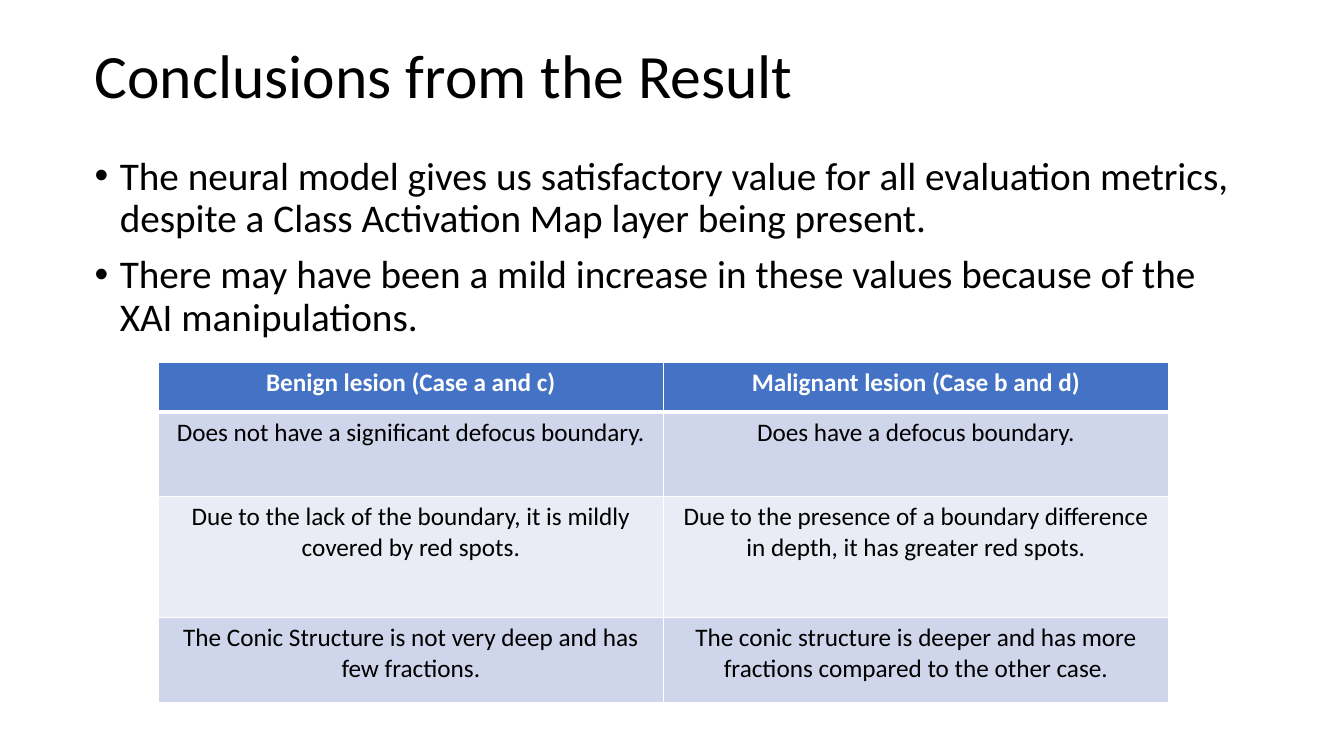
from lxml import etree
from pptx import Presentation
from pptx import util as u
from pptx.dml import color
from pptx.enum import text
from pptx.oxml import ns

FONT = "Calibri"
BLACK, WHITE = "000000", "FFFFFF"
HEADER_FILL = "4472C4"
BAND_FILLS = ["CFD5EA", "E9EBF5"]

TITLE = "Conclusions from the Result"
BULLETS = [
    "The neural model gives us satisfactory value for all evaluation metrics, "
    "despite a Class Activation Map layer being present.",
    "There may have been a mild increase in these values because of the "
    "XAI manipulations.",
]
LESION_ROWS = [
    ("Benign lesion (Case a and c)", "Malignant lesion (Case b and d)"),
    ("Does not have a significant defocus boundary.",
     "Does have a defocus boundary."),
    ("Due to the lack of the boundary, it is mildly covered by red spots.",
     "Due to the presence of a boundary difference in depth, "
     "it has greater red spots."),
    ("The Conic Structure is not very deep and has few fractions.",
     "The conic structure is deeper and has more fractions "
     "compared to the other case."),
]
ROW_HEIGHTS = [0.49, 0.84, 1.2, 0.84]


def rgb(value):
    return color.RGBColor.from_string(value)


def add_run(paragraph, words, size, hue=BLACK, bold=False):
    run = paragraph.add_run()
    run.text = words
    run.font.name = FONT
    run.font.size = u.Pt(size)
    run.font.bold = bold
    run.font.color.rgb = rgb(hue)


def add_text_frame(slide, box, anchor):
    frame = slide.shapes.add_textbox(*map(u.Inches, box)).text_frame
    frame.word_wrap = True
    frame.vertical_anchor = anchor
    return frame


def add_title(slide, box):
    frame = add_text_frame(slide, box, text.MSO_ANCHOR.MIDDLE)
    paragraph = frame.paragraphs[0]
    paragraph.line_spacing = 0.9
    add_run(paragraph, TITLE, 44)


def set_bullet(paragraph, indent):
    properties = paragraph._p.get_or_add_pPr()
    properties.set("marL", str(u.Inches(indent)))
    properties.set("indent", str(-u.Inches(indent)))
    bullet_font = etree.SubElement(properties, ns.qn("a:buFont"))
    bullet_font.set("typeface", "Arial")
    bullet = etree.SubElement(properties, ns.qn("a:buChar"))
    bullet.set("char", "•")


def add_bullets(slide, box):
    frame = add_text_frame(slide, box, text.MSO_ANCHOR.TOP)
    for index, words in enumerate(BULLETS):
        paragraph = frame.add_paragraph() if index else frame.paragraphs[0]
        set_bullet(paragraph, 0.25)
        paragraph.line_spacing = 0.9
        paragraph.space_before = u.Pt(10 if index else 0)
        add_run(paragraph, words, 28)


def set_borders(cell, widths):
    properties = cell._tc.get_or_add_tcPr()
    for side, width in zip("LRTB", widths):
        line = etree.SubElement(properties, ns.qn(f"a:ln{side}"))
        line.set("w", str(u.Pt(width)))
        fill = etree.SubElement(line, ns.qn("a:solidFill"))
        etree.SubElement(fill, ns.qn("a:srgbClr")).set("val", WHITE)


def add_lesion_table(slide, box):
    columns = len(LESION_ROWS[0])
    frame = slide.shapes.add_table(
        len(LESION_ROWS), columns, *map(u.Inches, box))
    table = frame.table
    for column in table.columns:
        column.width = u.Inches(box[2] / columns)
    for row_index, words_in_row in enumerate(LESION_ROWS):
        table.rows[row_index].height = u.Inches(ROW_HEIGHTS[row_index])
        header = row_index == 0
        fill = HEADER_FILL if header else BAND_FILLS[(row_index - 1) % 2]
        top = 3 if row_index == 1 else 1
        bottom = 3 if header else 1
        for column_index, words in enumerate(words_in_row):
            cell = table.cell(row_index, column_index)
            set_borders(cell, (1, 1, top, bottom))
            cell.fill.solid()
            cell.fill.fore_color.rgb = rgb(fill)
            paragraph = cell.text_frame.paragraphs[0]
            paragraph.alignment = text.PP_ALIGN.CENTER
            add_run(paragraph, words, 18, WHITE if header else BLACK, header)


def main():
    presentation = Presentation()
    presentation.slide_width = u.Inches(13.33)
    presentation.slide_height = u.Inches(7.5)
    slide = presentation.slides.add_slide(presentation.slide_layouts[6])
    add_title(slide, (0.84, 0.05, 11.5, 1.45))
    add_bullets(slide, (0.84, 1.5, 11.5, 4.76))
    add_lesion_table(slide, (1.57, 3.6, 10.02, sum(ROW_HEIGHTS)))
    presentation.save("out.pptx")


if __name__ == "__main__":
    main()
